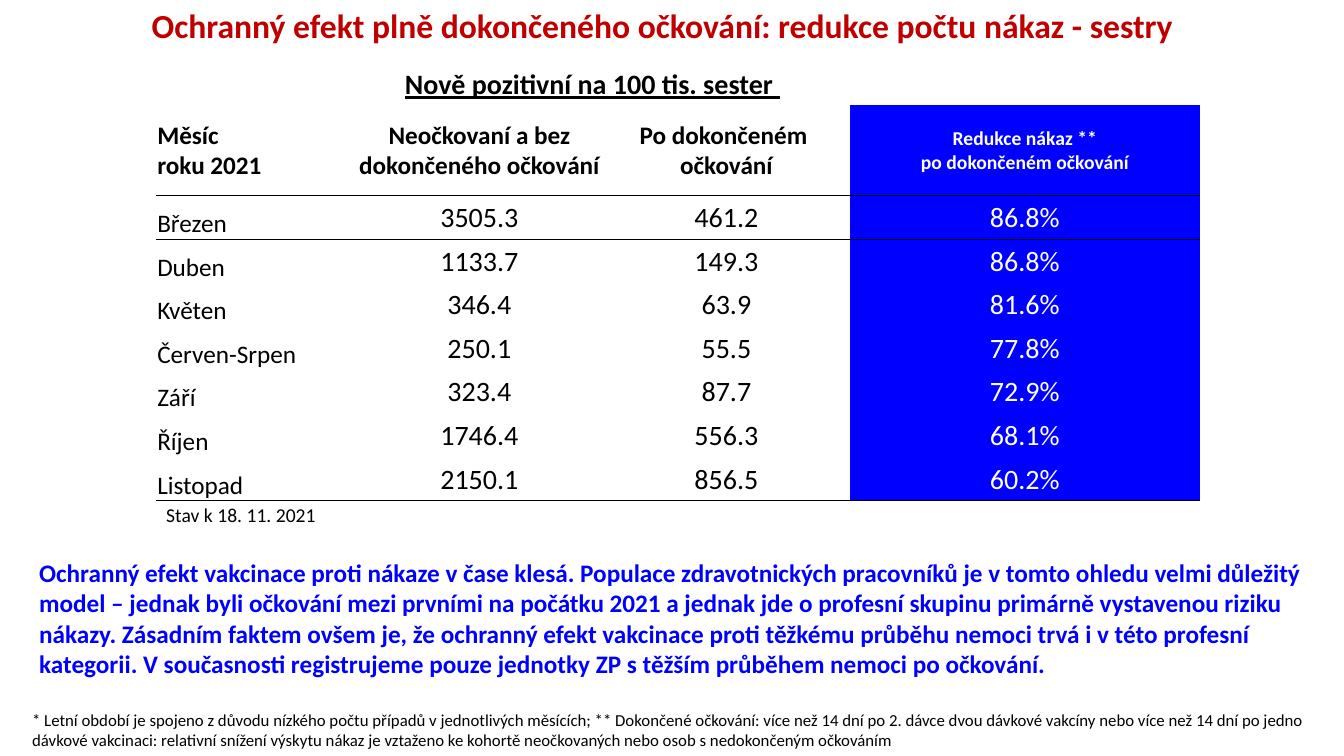
from lxml import etree
from pptx import Presentation
from pptx import util as u
from pptx.dml.color import RGBColor
from pptx.enum import text
from pptx.oxml.ns import qn

BLACK, WHITE, RED, BLUE = "000000", "FFFFFF", "C00000", "0000FF"
LEFT, CENTER = text.PP_ALIGN.LEFT, text.PP_ALIGN.CENTER
TOP, MIDDLE, BOTTOM = (text.MSO_ANCHOR.TOP, text.MSO_ANCHOR.MIDDLE,
                       text.MSO_ANCHOR.BOTTOM)
NO_GRID_STYLE = "{2D5ABB26-0587-4C30-8999-92F81FD0307C}"

HEADINGS = ["Měsíc\nroku 2021", "Neočkovaní a bez dokončeného očkování",
            "Po dokončeném \nočkování", "Redukce nákaz **\npo dokončeném očkování"]
MONTHS = [
    ["Březen", "3505.3", "461.2", "86.8%"],
    ["Duben", "1133.7", "149.3", "86.8%"],
    ["Květen", "346.4", "63.9", "81.6%"],
    ["Červen-Srpen", "250.1", "55.5", "77.8%"],
    ["Září", "323.4", "87.7", "72.9%"],
    ["Říjen", "1746.4", "556.3", "68.1%"],
    ["Listopad", "2150.1", "856.5", "60.2%"],
]
CONCLUSION = (
    "Ochranný efekt vakcinace proti nákaze v čase klesá. Populace zdravotnických "
    "pracovníků je v tomto ohledu velmi důležitý model – jednak byli očkování mezi "
    "prvními na počátku 2021 a jednak jde o profesní skupinu primárně vystavenou "
    "riziku nákazy. Zásadním faktem ovšem je, že ochranný efekt vakcinace proti "
    "těžkému průběhu nemoci trvá i v této profesní kategorii. V současnosti "
    "registrujeme pouze jednotky ZP s těžším průběhem nemoci po očkování.")
FOOTNOTE = (
    "* Letní období je spojeno z důvodu nízkého počtu případů v jednotlivých měsících; "
    "** Dokončené očkování: více než 14 dní po 2. dávce dvou dávkové vakcíny nebo více "
    "než 14 dní po jedno dávkové vakcinaci: relativní snížení výskytu nákaz je vztaženo "
    "ke kohortě neočkovaných nebo osob s nedokončeným očkováním")


def color(value):
    return RGBColor.from_string(value)


def write(frame, words, size=18, fill=BLACK, bold=False, underline=False,
          align=LEFT, spacing=None):
    frame.word_wrap = True
    for index, line in enumerate(words.split("\n")):
        paragraph = frame.paragraphs[0] if index == 0 else frame.add_paragraph()
        paragraph.alignment = align
        if spacing:
            paragraph.line_spacing = spacing
            paragraph.space_before = u.Pt(0)
        run = paragraph.add_run()
        run.text = line
        run.font.name = "Calibri"
        run.font.size = u.Pt(size)
        run.font.bold = bold
        run.font.underline = underline
        run.font.color.rgb = color(fill)


def add_title(slide, left, top, width, height, words):
    title = slide.shapes.title
    title.left, title.top = u.Inches(left), u.Inches(top)
    title.width, title.height = u.Inches(width), u.Inches(height)
    title.text_frame.vertical_anchor = TOP
    title.text_frame.auto_size = text.MSO_AUTO_SIZE.NONE
    write(title.text_frame, words, size=24, fill=RED, bold=True,
          align=CENTER, spacing=0.9)


def add_label(slide, left, top, width, height, words, **style):
    label = slide.shapes.add_textbox(*map(u.Inches, (left, top, width, height)))
    write(label.text_frame, words, **style)


def add_rule(cell, side):
    properties = cell._tc.get_or_add_tcPr()
    rule = etree.Element(qn("a:" + side), w=str(u.Pt(1)))
    solid = etree.SubElement(rule, qn("a:solidFill"))
    etree.SubElement(solid, qn("a:srgbClr"), val=BLACK)
    properties.insert(0, rule)


def format_cell(cell, anchor=MIDDLE, fill=None):
    cell.margin_left = cell.margin_right = cell.margin_top = u.Inches(0.01)
    cell.margin_bottom = 0
    cell.vertical_anchor = anchor
    if fill:
        cell.fill.solid()
        cell.fill.fore_color.rgb = color(fill)
    else:
        cell.fill.background()


def add_infections(slide, left, top, width, height):
    rows = [HEADINGS] + MONTHS
    header_height = 0.9
    table = slide.shapes.add_table(
        len(rows) + 1, len(HEADINGS),
        *map(u.Inches, (left, top, width, height))).table
    table.first_row = table.horz_banding = False
    table._tbl.tblPr.find(qn("a:tableStyleId")).text = NO_GRID_STYLE
    for column, share in zip(table.columns, (1.98, 2.45, 2.45, 3.47)):
        column.width = u.Inches(share)
    for row in table.rows:
        row.height = u.Inches((height - header_height) / len(rows))
    table.rows[1].height = u.Inches(header_height)

    for column in range(len(HEADINGS)):
        format_cell(table.cell(0, column))
    table.cell(0, 2).merge(table.cell(0, 3))

    for number, values in enumerate(rows, 1):
        heading = number == 1
        for column, value in enumerate(values):
            month, reduction = column == 0, column == 3
            cell = table.cell(number, column)
            format_cell(cell, BOTTOM if month and not heading else MIDDLE,
                        BLUE if reduction else None)
            if heading:
                size = 14 if reduction else 18
            else:
                size = 18 if month else 20
            write(cell.text_frame, value, size=size, bold=heading,
                  fill=WHITE if reduction else BLACK,
                  align=LEFT if month else CENTER)
            if number in (1, len(rows)):
                add_rule(cell, "lnB")
            if number == 2:
                add_rule(cell, "lnT")


def main():
    deck = Presentation()
    deck.slide_width, deck.slide_height = u.Inches(13.33), u.Inches(7.5)
    slide = deck.slides.add_slide(deck.slide_layouts[5])
    add_title(slide, 0.22, 0.04, 12.7, 1.45,
              "Ochranný efekt plně dokončeného očkování: redukce počtu nákaz - sestry")
    add_label(slide, 3.66, 0.61, 4.43, 0.44, "Nově pozitivní na 100 tis. sester ",
              size=20, bold=True, underline=True, align=CENTER)
    add_label(slide, 0.22, 6.99, 12.99, 0.5, FOOTNOTE, size=12)
    add_infections(slide, 1.55, 0.61, 10.35, 4.36)
    add_label(slide, 1.55, 4.94, 2.21, 0.34, "Stav k 18. 11. 2021", size=14)
    add_label(slide, 0.29, 5.48, 12.87, 1.31, CONCLUSION, fill=BLUE, bold=True)
    deck.save("out.pptx")


if __name__ == "__main__":
    main()
